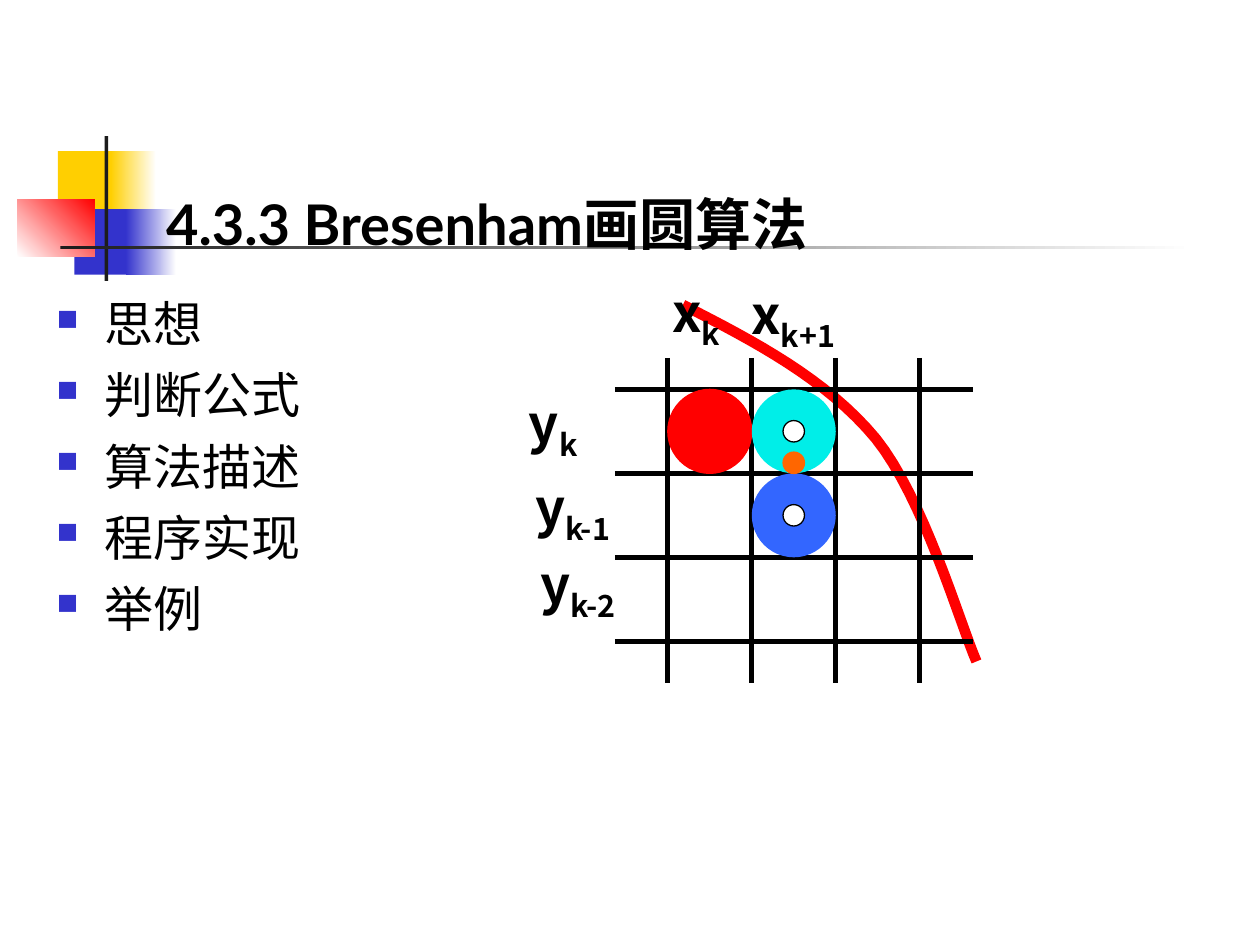
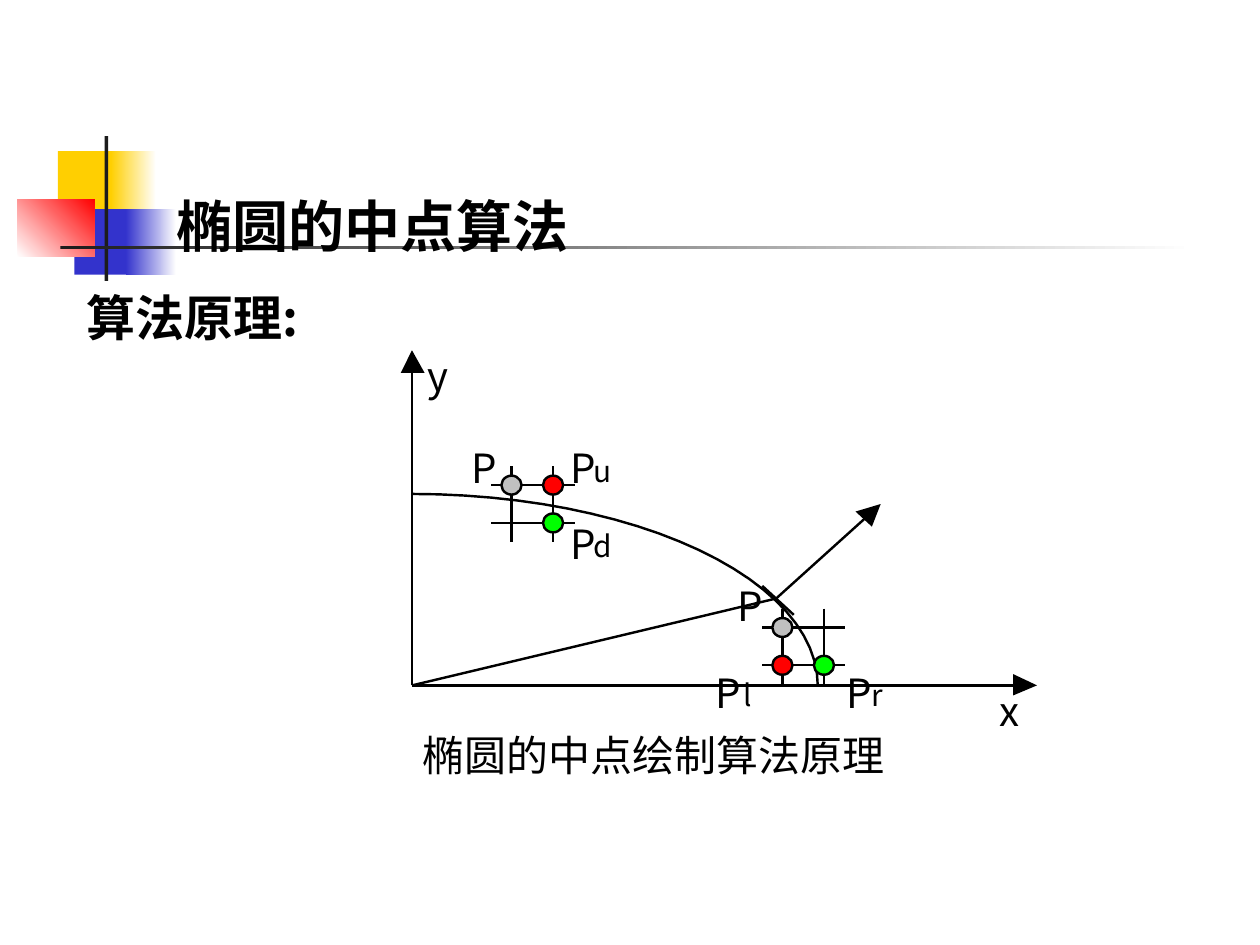
from math import cos, pi, sin

from lxml.etree import SubElement
from pptx import Presentation
from pptx.dml.color import RGBColor
from pptx.enum.shapes import MSO_CONNECTOR, MSO_SHAPE
from pptx.enum.text import MSO_ANCHOR, MSO_AUTO_SIZE, PP_ALIGN
from pptx.oxml.ns import qn
from pptx.util import Inches, Pt

BLACK = RGBColor(0x00, 0x00, 0x00)
WHITE = RGBColor(0xFF, 0xFF, 0xFF)
CHARCOAL = RGBColor(0x1C, 0x1C, 0x1C)
GOLD = RGBColor(0xFF, 0xCF, 0x01)
INDIGO = RGBColor(0x33, 0x33, 0xCC)
RED = RGBColor(0xFF, 0x00, 0x00)
CYAN = RGBColor(0x00, 0xEE, 0xE8)
BLUE = RGBColor(0x33, 0x66, 0xFF)
ORANGE = RGBColor(0xFF, 0x66, 0x00)
GREY = RGBColor(0xC0, 0xC0, 0xC0)
GREEN = RGBColor(0x00, 0xFF, 0x00)

LATO, MONTSERRAT, NOTO = "Lato", "Montserrat", "Noto Sans CJK SC"
THIN, GRID_WIDTH, CURVE_WIDTH = 1.39, 3, 6

MASTER_BLOCKS = [
    ((0.46, 1.2, 0.48, 0.52), [GOLD], 0),
    ((0.88, 1.2, 0.36, 0.52), [GOLD, WHITE], 0),
    ((0.59, 1.66, 0.46, 0.52), [INDIGO], 0),
    ((1, 1.66, 0.4, 0.52), [INDIGO, WHITE], 0),
    ((0.14, 1.58, 0.61, 0.46), [WHITE, RED], 45),
    ((0.83, 1.08, 0.03, 1.15), [CHARCOAL], 0),
    ((0.48, 1.95, 9, 0.03), [CHARCOAL, WHITE], 0),
]

CIRCLE_TITLE = "4.3.3 Bresenham画圆算法"
TOPICS = [("思想", LATO), ("判断公式", MONTSERRAT), ("算法描述", MONTSERRAT),
          ("程序实现", MONTSERRAT), ("举例", LATO)]
GRID_LEFT, GRID_TOP, CELL, GRID_LINES = 5.3, 3.09, 2 / 3, 4
CIRCLE_ARC = [
    [(5.42, 2.42), (5.99, 2.71), (6.56, 3.01), (6.95, 3.48)],
    [(6.95, 3.48), (7.33, 3.95), (7.62, 4.95), (7.75, 5.25)],
]
GRID_LABELS = [
    ("x", "k", (5.22, 2.22, 0.61, 0.57), 1),
    ("x", "k+1", (5.8, 2.24, 0.99, 0.57), 1),
    ("y", "k", (4.13, 3.1, 0.52, 0.57), 1),
    ("y", "k-1", (4.13, 3.77, 0.83, 0.57), 1),
    ("y", "k-2", (4.13, 4.32, 0.92, 0.63), 1.1),
]
PIXELS = [
    (0.5, 0.5, CELL, RED, RED),
    (1.5, 0.5, CELL, CYAN, None),
    (1.5, 1.5, CELL, BLUE, None),
    (1.5, 0.5, 0.17, WHITE, BLACK),
    (1.5, 1.5, 0.17, WHITE, BLACK),
    (1.5, 0.875, 0.17, ORANGE, ORANGE),
]

ELLIPSE_TITLE = "椭圆的中点算法"
PRINCIPLE = "算法原理:"
CAPTION = "椭圆的中点绘制算法原理"
ORIGIN, RADIUS_X, RADIUS_Y = (3.27, 5.44), 3.22, 1.52
TANGENT_POINT = (6.16, 4.75)
AXES_AND_RAYS = [
    (ORIGIN, (3.27, 2.93)),
    (ORIGIN, (8.06, 5.44)),
    ((6.05, 4.65), (6.3, 4.88)),
    (TANGENT_POINT, (6.87, 4.11)),
    (ORIGIN, TANGENT_POINT),
]
ARROWHEADS = [
    [(3.18, 2.96), (3.27, 2.78), (3.37, 2.96)],
    [(8.04, 5.35), (8.23, 5.44), (8.04, 5.52)],
    [(6.79, 4.06), (6.99, 4), (6.92, 4.18)],
]
STEP_X, STEP_Y = 0.33, 0.3
LATTICES = [
    ((4.06, 3.85), [(0, 0, GREY), (1, 1, GREEN), (1, 0, RED)]),
    ((6.21, 4.98), [(0, 0, GREY), (0, 1, RED), (1, 1, GREEN)]),
]
AXIS_LABELS = [("y", 3.39, 2.79), ("x", 7.93, 5.45)]
POINT_LABELS = [
    (4.53, 3.52, "u", 0.18, 0.15),
    (4.53, 4.12, "d", 0.18, 0.15),
    (3.74, 3.52, "", 0, 0),
    (5.68, 5.3, "l", 0.22, 0.06),
    (6.72, 5.3, "r", 0.2, 0.1),
    (5.85, 4.61, "", 0, 0),
]


def inches(values):
    return [Inches(value) for value in values]


def paint(shape, fill, outline=None, width=0.75):
    shape.shadow.inherit = False
    if fill is None:
        shape.fill.background()
    else:
        shape.fill.solid()
        shape.fill.fore_color.rgb = fill
    if outline is None:
        shape.line.fill.background()
    else:
        shape.line.color.rgb = outline
        shape.line.width = Pt(width)


def add_block(page, area, colours, angle):
    block = page.shapes.add_shape(MSO_SHAPE.RECTANGLE, *inches(area))
    paint(block, colours[0])
    if len(colours) == 2:
        block.fill.gradient()
        block.fill.gradient_angle = angle
        for stop, colour, position in zip(block.fill.gradient_stops, colours, (0, 1)):
            stop.color.rgb = colour
            stop.position = position


def add_dot(page, center, width, height, fill, outline, line_width=0.75):
    x, y = center
    area = (x - width / 2, y - height / 2, width, height)
    paint(page.shapes.add_shape(MSO_SHAPE.OVAL, *inches(area)), fill, outline, line_width)


def add_line(page, start, end, width):
    line = page.shapes.add_connector(MSO_CONNECTOR.STRAIGHT, *inches(start + end))
    line.line.color.rgb = BLACK
    line.line.width = Pt(width)
    SubElement(line._element.spPr, qn("a:effectLst"))


def add_path(page, points, close, fill, outline=None, width=0.75):
    corners = [tuple(inches(point)) for point in points]
    builder = page.shapes.build_freeform(*corners[0], scale=1.0)
    builder.add_line_segments(corners[1:], close=close)
    paint(builder.convert_to_shape(), fill, outline, width)


def add_box(page, area, inset=True, wrap=True, anchor=MSO_ANCHOR.TOP):
    frame = page.shapes.add_textbox(*inches(area)).text_frame
    frame.word_wrap = wrap
    frame.vertical_anchor = anchor
    if not inset:
        frame.margin_left = frame.margin_right = 0
        frame.margin_top = frame.margin_bottom = 0
        frame.auto_size = MSO_AUTO_SIZE.SHAPE_TO_FIT_TEXT
    return frame


def add_span(para, text, size, font=NOTO, bold=False, baseline=None):
    span = para.add_run()
    span.text = text
    span.font.size = Pt(size)
    span.font.bold = bold
    span.font.color.rgb = BLACK
    span.font.name = font
    properties = span._r.get_or_add_rPr()
    SubElement(properties, qn("a:ea")).set("typeface", font)
    if baseline is not None:
        properties.set("baseline", str(baseline * 1000))


def add_bullet(para):
    properties = para._p.get_or_add_pPr()
    properties.set("marL", str(Inches(0.38)))
    properties.set("indent", str(-Inches(0.38)))
    colour = SubElement(properties, qn("a:buClr"))
    SubElement(colour, qn("a:srgbClr")).set("val", str(INDIGO))
    SubElement(properties, qn("a:buSzPct")).set("val", "60000")
    SubElement(properties, qn("a:buChar")).set("char", "■")


def add_page(deck):
    page = deck.slides.add_slide(deck.slide_layouts[6])
    for area, colours, angle in MASTER_BLOCKS:
        add_block(page, area, colours, angle)
    return page


def add_title(page, text, area, font):
    frame = add_box(page, area, anchor=MSO_ANCHOR.BOTTOM)
    add_span(frame.paragraphs[0], text, 32, font, bold=True)


def bezier_points(curve, steps=16):
    for step in range(steps + 1):
        t = step / steps
        weights = ((1 - t) ** 3, 3 * t * (1 - t) ** 2, 3 * t * t * (1 - t), t ** 3)
        yield tuple(sum(w * point[axis] for w, point in zip(weights, curve))
                    for axis in (0, 1))


def add_topics(page):
    frame = add_box(page, (0.35, 2.33, 3.08, 4))
    for index, (topic, font) in enumerate(TOPICS):
        para = frame.add_paragraph() if index else frame.paragraphs[0]
        if index:
            para.space_before = Pt(7)
        else:
            para.line_spacing = 0.9
        add_bullet(para)
        add_span(para, topic, 28, font)


def build_circle_page(deck):
    page = add_page(deck)
    add_topics(page)
    first, second = (list(bezier_points(curve)) for curve in CIRCLE_ARC)
    add_path(page, first + second[1:], False, None, RED, CURVE_WIDTH)
    for index in range(GRID_LINES):
        y = GRID_TOP + index * CELL
        add_line(page, (4.88, y), (7.72, y), GRID_WIDTH)
    for index in range(GRID_LINES):
        x = GRID_LEFT + index * CELL
        add_line(page, (x, 2.84), (x, 5.42), GRID_WIDTH)
    for letter, subscript, area, spacing in GRID_LABELS:
        para = add_box(page, area, inset=False, anchor=MSO_ANCHOR.MIDDLE).paragraphs[0]
        para.alignment = PP_ALIGN.CENTER
        para.line_spacing = spacing
        add_span(para, letter, 30, bold=True)
        add_span(para, subscript, 30, bold=True, baseline=-25)
    for column, row, size, fill, outline in PIXELS:
        center = (GRID_LEFT + column * CELL, GRID_TOP + row * CELL)
        add_dot(page, center, size, size, fill, outline)
    add_title(page, CIRCLE_TITLE, (1.22, 1.49, 6.06, 0.6), LATO)


def add_lattice(page, corner, dots):
    left, top = corner
    for index in (0, 1):
        y = top + index * STEP_Y
        add_line(page, (left - 0.16, y), (left + 0.5, y), THIN)
    for index in (0, 1):
        x = left + index * STEP_X
        add_line(page, (x, top - 0.15), (x, top + 0.45), THIN)
    for column, row, colour in dots:
        center = (left + column * STEP_X, top + row * STEP_Y)
        add_dot(page, center, 0.16, 0.15, colour, BLACK, THIN)


def add_label(page, text, area, size):
    frame = add_box(page, area, inset=False, wrap=False)
    add_span(frame.paragraphs[0], text, size)


def build_ellipse_page(deck):
    page = add_page(deck)
    add_title(page, ELLIPSE_TITLE, (1.3, 1.34, 6.45, 0.76), NOTO)
    frame = add_box(page, (0.59, 2.23, 2.13, 0.66))
    add_span(frame.paragraphs[0], PRINCIPLE, 28, bold=True)
    for start, end in AXES_AND_RAYS:
        add_line(page, start, end, THIN)
    for corners in ARROWHEADS:
        add_path(page, corners, True, BLACK)
    steps = 24
    angles = [pi / 2 * step / steps for step in range(steps + 1)]
    quarter = [(ORIGIN[0] + RADIUS_X * sin(angle), ORIGIN[1] - RADIUS_Y * cos(angle))
               for angle in angles]
    add_path(page, quarter, False, None, BLACK, THIN)
    for corner, dots in LATTICES:
        add_lattice(page, corner, dots)
    for text, x, y in AXIS_LABELS:
        add_label(page, text, (x, y, 0.17, 0.38), 23)
    for x, y, subscript, offset, width in POINT_LABELS:
        add_label(page, "P", (x, y, 0.19, 0.38), 23)
        if subscript:
            add_label(page, subscript, (x + offset, y + 0.07, width, 0.28), 17)
    caption = add_box(page, (3.35, 5.79, 4.77, 0.4), inset=False)
    add_span(caption.paragraphs[0], CAPTION, 24)


def main():
    deck = Presentation()
    deck.slide_width, deck.slide_height = Inches(10), Inches(7.5)
    build_circle_page(deck)
    build_ellipse_page(deck)
    deck.save("out.pptx")


if __name__ == "__main__":
    main()
